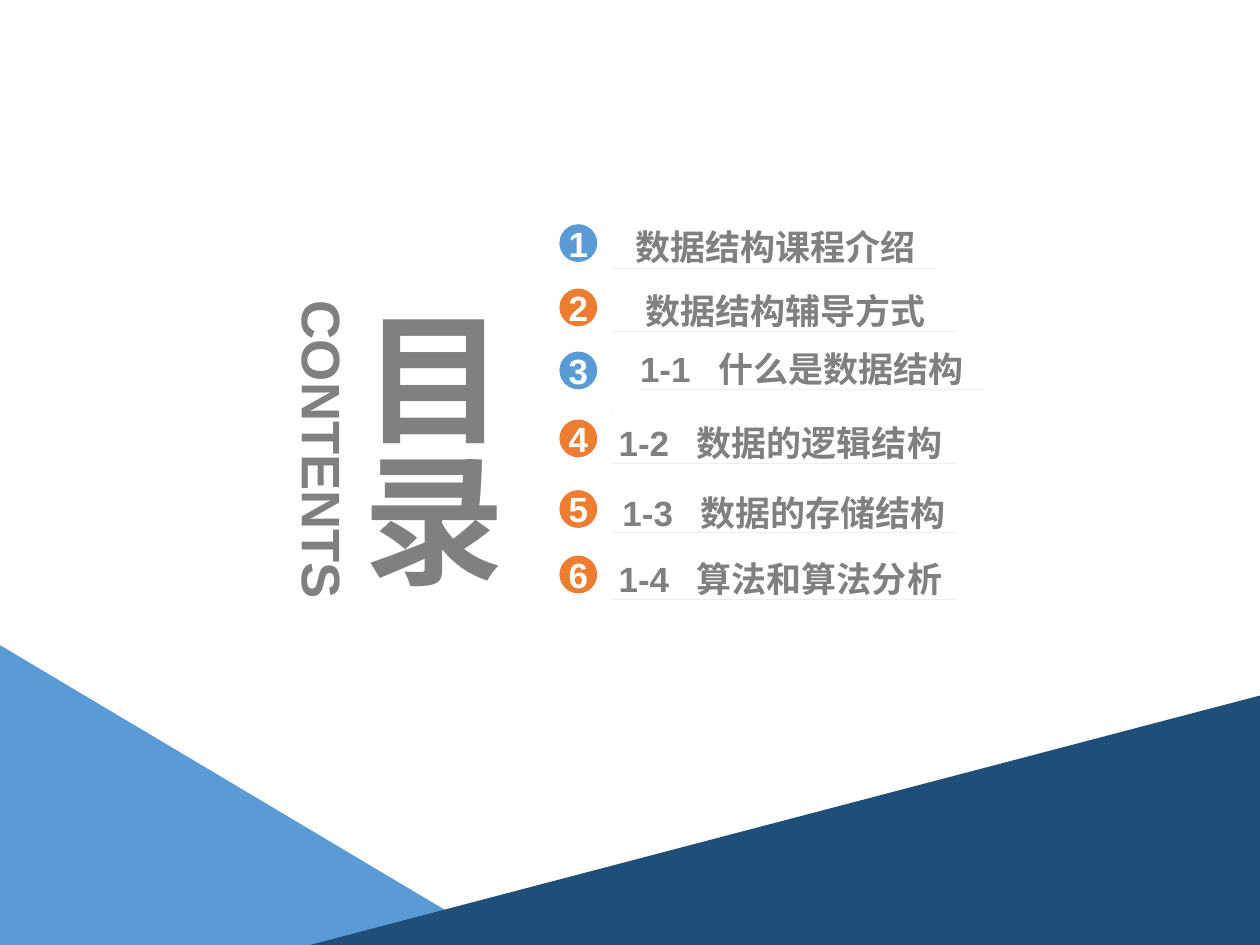
"""Build the contents slide of a data structures course."""
from dataclasses import dataclass

from lxml.etree import SubElement
from pptx import Presentation
from pptx.dml.color import RGBColor
from pptx.enum.shapes import MSO_SHAPE
from pptx.enum.text import MSO_ANCHOR, MSO_AUTO_SIZE, PP_ALIGN
from pptx.oxml.ns import qn
from pptx.util import Inches, Pt


@dataclass(frozen=True)
class Theme:
    font: str = "Arial"
    blue: str = "5B9BD5"
    navy: str = "1F4E79"
    orange: str = "ED7D31"
    gray: str = "808080"
    rule: str = "7F7F7F"
    white: str = "FFFFFF"
    title_size: int = 81
    subtitle_size: int = 31
    item_size: int = 20


THEME = Theme()
TITLE = "目录"
SUBTITLE = "CONTENTS"

# Columns: wording, badge colour, badge top, text inset, panel (left, top, width, height), line spacing
ITEMS = [
    ("数据结构课程介绍", THEME.blue, 1.78, 0.19, (4.85, 1.69, 2.59, 0.44), 1.3),
    ("数据结构辅导方式", THEME.orange, 2.29, 0.27, (4.85, 2.2, 2.74, 0.43), 1.3),
    ("1-1\t什么是数据结构", THEME.blue, 2.79, 0, (5.08, 2.76, 2.74, 0.33), 1.0),
    ("1-2\t数据的逻辑结构", THEME.orange, 3.33, 0.06, (4.85, 3.24, 2.74, 0.44), 1.3),
    ("1-3\t数据的存储结构", THEME.orange, 3.89, 0.09, (4.85, 3.8, 2.74, 0.43), 1.3),
    ("1-4\t算法和算法分析", THEME.orange, 4.41, 0.06, (4.85, 4.33, 2.74, 0.43), 1.3),
]
TRIANGLES = [
    (THEME.blue, [(0, 5.12), (4, 7.5), (0, 7.5)]),
    (THEME.navy, [(10, 5.52), (10, 7.5), (2.46, 7.5)]),
]
BADGE_LEFT, BADGE_SIZE = 4.44, 0.3
TAB_STOP = 0.62


def write(shape, text, size, color, align=PP_ALIGN.CENTER, anchor=MSO_ANCHOR.MIDDLE,
          spacing=1.0, inset=0):
    frame = shape.text_frame
    frame.text = text
    frame.word_wrap = True
    frame.auto_size = MSO_AUTO_SIZE.NONE
    frame.vertical_anchor = anchor
    frame.margin_right = frame.margin_top = frame.margin_bottom = 0
    frame.margin_left = Inches(inset)
    para = frame.paragraphs[0]
    if "\t" in text:
        tabs = SubElement(para._p.get_or_add_pPr(), qn("a:tabLst"))
        SubElement(tabs, qn("a:tab"), pos=str(Inches(TAB_STOP)), algn="l")
    para.alignment = align
    para.line_spacing = spacing
    for span in para.runs:
        span.font.name = THEME.font
        span.font.size = Pt(size)
        span.font.bold = True
        span.font.color.rgb = RGBColor.from_string(color)


def paint(shape, color):
    shape.shadow.inherit = False
    shape.fill.solid()
    shape.fill.fore_color.rgb = RGBColor.from_string(color)
    shape.line.fill.background()


def add_outline(page, color, contours):
    first, *others = [[(Inches(x), Inches(y)) for x, y in contour] for contour in contours]
    builder = page.shapes.build_freeform(*first[0])
    builder.add_line_segments(first[1:], close=True)
    for contour in others:
        builder.move_to(*contour[0])
        builder.add_line_segments(contour[1:], close=True)
    outline = builder.convert_to_shape()
    paint(outline, color)
    return outline


def add_headings(page):
    title = page.shapes.title
    title.left, title.top, title.width, title.height = map(Inches, (2.73, 2.44, 1.35, 2.27))
    write(title, TITLE, THEME.title_size, THEME.gray)
    title.text_frame._txBody.bodyPr.set("vert", "eaVert")
    subtitle = page.shapes.add_textbox(*map(Inches, (1.28, 3.31, 2.57, 0.52)))
    subtitle.rotation = 90
    write(subtitle, SUBTITLE, THEME.subtitle_size, THEME.gray, anchor=MSO_ANCHOR.TOP)


def add_item(page, number, item):
    text, color, badge_top, inset, (left, top, width, height), spacing = item
    badge = page.shapes.add_shape(
        MSO_SHAPE.OVAL, *map(Inches, (BADGE_LEFT, badge_top, BADGE_SIZE, BADGE_SIZE)))
    paint(badge, color)
    write(badge, str(number), THEME.item_size, THEME.white)

    bottom = top + height
    underline = [(left, bottom), (left + width, bottom)]
    corner = [(left, top), (left + 0.01, top)]
    panel = add_outline(page, THEME.rule, [underline, corner])
    write(panel, text, THEME.item_size, THEME.gray, PP_ALIGN.LEFT,
          spacing=spacing, inset=inset)


def main():
    deck = Presentation()
    deck.slide_width, deck.slide_height = Inches(10), Inches(7.5)
    page = deck.slides.add_slide(deck.slide_layouts[5])
    add_headings(page)
    for number, item in enumerate(ITEMS, start=1):
        add_item(page, number, item)
    for color, corners in TRIANGLES:
        add_outline(page, color, [corners])
    deck.save("out.pptx")


if __name__ == "__main__":
    main()
